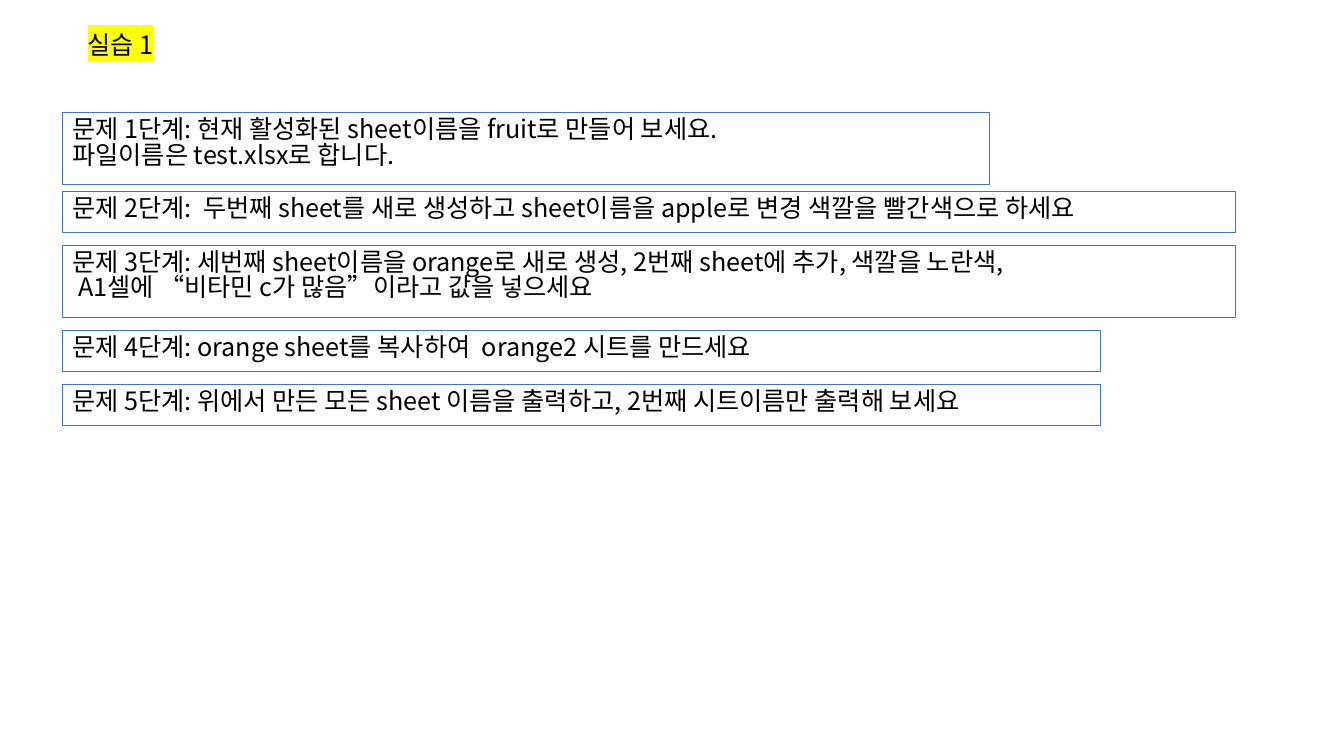
from dataclasses import dataclass

from lxml.etree import SubElement
from pptx import Presentation
from pptx.dml.color import RGBColor
from pptx.enum.shapes import MSO_SHAPE as Preset
from pptx.enum.text import MSO_ANCHOR as Anchor, PP_ALIGN as Align
from pptx.oxml.ns import qn
from pptx.util import Pt

TITLE = "실습 1"

# Each step: box width, gap above the box, lines of text
STEPS = [
    (662.4, 0, ["문제 1단계: 현재 활성화된 sheet이름을 fruit로 만들어 보세요.",
                "파일이름은 test.xlsx로 합니다."]),
    (838, 5, ["문제 2단계:  두번째 sheet를 새로 생성하고 sheet이름을 apple로 변경 색깔을 빨간색으로 하세요"]),
    (838, 9.5, ["문제 3단계: 세번째 sheet이름을 orange로 새로 생성, 2번째 sheet에 추가, 색깔을 노란색,",
                " A1셀에 “비타민 c가 많음”이라고 값을 넣으세요"]),
    (741.6, 9.5, ["문제 4단계: orange sheet를 복사하여  orange2 시트를 만드세요"]),
    (741.6, 9.5, ["문제 5단계: 위에서 만든 모든 sheet 이름을 출력하고, 2번째 시트이름만 출력해 보세요"]),
]


@dataclass(frozen=True)
class Theme:
    """Colours, type and line sizes of the slide."""
    font: str = "Noto Sans CJK KR"
    size: float = 18
    spacing: float = 0.85
    text: str = "000000"
    border: str = "4472C4"
    border_width: float = 0.75
    paper: str = "FFFFFF"
    marker: str = "FFFF00"


THEME = Theme()
STEP_LEFT, STEP_TOP = 44.64, 80.64
LINE_HEIGHT, PADDING = 22, 7.2


def write_lines(box, lines, marker=None):
    """Write one paragraph per line, highlighted when a marker is given."""
    frame = box.text_frame
    frame.word_wrap = True
    frame.vertical_anchor = Anchor.TOP
    for index, line in enumerate(lines):
        para = frame.add_paragraph() if index else frame.paragraphs[0]
        para.alignment = Align.LEFT
        para.line_spacing = THEME.spacing
        span = para.add_run()
        span.text = line
        font = span.font
        font.size = Pt(THEME.size)
        font.color.rgb = RGBColor.from_string(THEME.text)
        props = span._r.get_or_add_rPr()
        if marker:
            highlight = SubElement(props, qn("a:highlight"))
            SubElement(highlight, qn("a:srgbClr"), val=marker)
        font.name = THEME.font
        SubElement(props, qn("a:ea"), typeface=THEME.font)


def add_title(page):
    """Add the highlighted heading."""
    box = page.shapes.add_textbox(Pt(55.44), Pt(20.88), Pt(236.2), Pt(LINE_HEIGHT + PADDING))
    write_lines([box][0], [TITLE], THEME.marker)


def add_steps(page):
    """Stack the outlined step boxes, each as tall as its lines."""
    top = STEP_TOP
    for width, gap, lines in STEPS:
        top += gap
        height = LINE_HEIGHT * len(lines) + PADDING
        box = page.shapes.add_shape(Preset.RECTANGLE, Pt(STEP_LEFT), Pt(top), Pt(width), Pt(height))
        box.shadow.inherit = False
        box.fill.background()
        box.line.color.rgb = RGBColor.from_string(THEME.border)
        box.line.width = Pt(THEME.border_width)
        write_lines(box, lines)
        top += height


def build():
    """Build and save the one-page deck."""
    deck = Presentation()
    deck.slide_width, deck.slide_height = Pt(960), Pt(540)
    page = deck.slides.add_slide(deck.slide_layouts[6])
    page.background.fill.solid()
    page.background.fill.fore_color.rgb = RGBColor.from_string(THEME.paper)
    add_steps(page)
    add_title(page)
    deck.save("out.pptx")


build()
